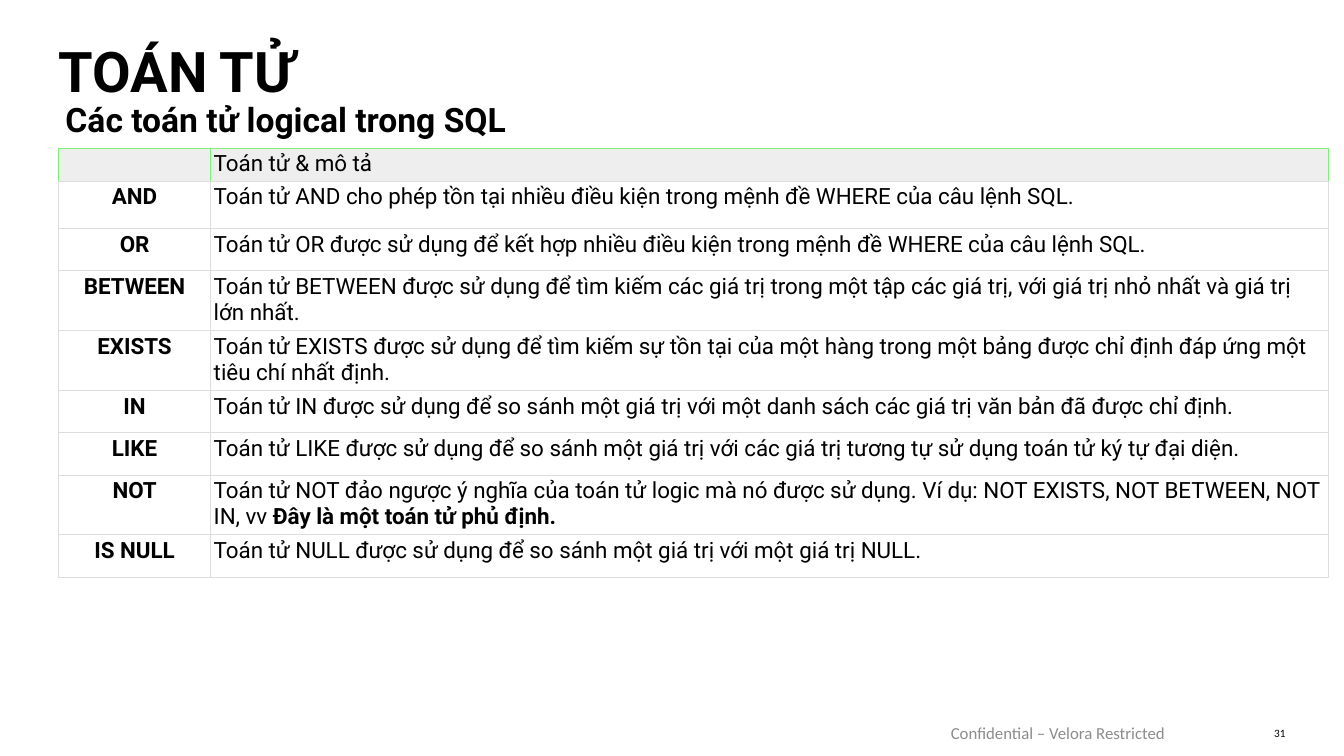
from dataclasses import dataclass

from lxml.etree import SubElement
from pptx import Presentation
from pptx.dml.color import RGBColor
from pptx.enum.text import MSO_ANCHOR as Anchor, PP_ALIGN as Align
from pptx.oxml.ns import qn
from pptx.util import Inches, Pt

BLACK = RGBColor(0x00, 0x00, 0x00)
WHITE = RGBColor(0xFF, 0xFF, 0xFF)
GRAY = RGBColor(0x8C, 0x8C, 0x8C)
PALE = RGBColor(0xEE, 0xEE, 0xEE)
RULE = RGBColor(0xDD, 0xDD, 0xDD)
GREEN = RGBColor(0x80, 0xF0, 0x7B)


@dataclass
class Label:
    text: str
    left: float
    top: float
    width: float
    height: float
    size: int
    font: str = "Roboto"
    color: RGBColor = BLACK
    bold: bool = False
    anchor: Anchor = Anchor.TOP
    align: Align = Align.LEFT
    spacing: float = 1.0
    margin: float = 0
    indent: float = 0


@dataclass
class Operator:
    name: str
    about: str
    height: float = 0.42
    stress: str = ""


LABELS = [
    Label("TOÁN TỬ", 0.58, 0.44, 12.17, 0.58, 40, bold=True,
          anchor=Anchor.BOTTOM, spacing=0.8),
    Label("Các toán tử logical trong SQL", 0.4, 1.03, 12.17, 0.38, 24, bold=True,
          spacing=0.9, margin=0.5, indent=-0.25),
    Label("Confidential – Velora Restricted", 9.43, 7.17, 2.95, 0.2, 12, "Calibri",
          GRAY, anchor=Anchor.MIDDLE),
    Label("31", 12.39, 7.17, 0.36, 0.2, 8, "Calibri",
          anchor=Anchor.MIDDLE, align=Align.RIGHT),
]

OPERATORS = [
    Operator("AND", "Toán tử AND cho phép tồn tại nhiều điều kiện trong mệnh đề WHERE "
             "của câu lệnh SQL.", 0.47),
    Operator("OR", "Toán tử OR được sử dụng để kết hợp nhiều điều kiện trong mệnh đề "
             "WHERE của câu lệnh SQL."),
    Operator("BETWEEN", "Toán tử BETWEEN được sử dụng để tìm kiếm các giá trị trong một "
             "tập các giá trị, với giá trị nhỏ nhất và giá trị lớn nhất."),
    Operator("EXISTS", "Toán tử EXISTS được sử dụng để tìm kiếm sự tồn tại của một hàng "
             "trong một bảng được chỉ định đáp ứng một tiêu chí nhất định."),
    Operator("IN", "Toán tử IN được sử dụng để so sánh một giá trị với một danh sách "
             "các giá trị văn bản đã được chỉ định."),
    Operator("LIKE", "Toán tử LIKE được sử dụng để so sánh một giá trị với các giá trị "
             "tương tự sử dụng toán tử ký tự đại diện."),
    Operator("NOT", "Toán tử NOT đảo ngược ý nghĩa của toán tử logic mà nó được sử dụng. "
             "Ví dụ: NOT EXISTS, NOT BETWEEN, NOT IN, vv ",
             stress="Đây là một toán tử phủ định."),
    Operator("IS NULL", "Toán tử NULL được sử dụng để so sánh một giá trị với một giá trị "
             "NULL."),
]


def add_run(para, text: str, size: int, font: str = "Roboto",
            color: RGBColor = BLACK, bold: bool = False) -> None:
    run = para.add_run()
    run.text = text
    run.font.size = Pt(size)
    run.font.name = font
    run.font.color.rgb = color
    run.font.bold = bold


def add_label(slide, label: Label) -> None:
    box = slide.shapes.add_textbox(Inches(label.left), Inches(label.top),
                                   Inches(label.width), Inches(label.height))
    frame = box.text_frame
    frame.word_wrap = True
    frame.vertical_anchor = label.anchor
    frame.margin_left = frame.margin_right = 0
    frame.margin_top = frame.margin_bottom = 0
    para = frame.paragraphs[0]
    para.alignment = label.align
    para.line_spacing = label.spacing
    if label.margin:
        props = para._p.get_or_add_pPr()
        props.set("marL", str(Inches(label.margin)))
        props.set("indent", str(Inches(label.indent)))
    add_run(para, label.text, label.size, label.font, label.color, label.bold)


def style_cell(cell, fill: RGBColor, edge: RGBColor) -> None:
    """Set margins, borders and fill; the bottom border is always the plain rule."""
    cell.margin_left = cell.margin_right = Inches(0.03)
    cell.margin_top = cell.margin_bottom = Inches(0.03)
    props = cell._tc.get_or_add_tcPr()
    for side, color in zip("LRTB", (edge, edge, edge, RULE)):
        line = SubElement(props, qn(f"a:ln{side}"), w=str(Pt(0.75)))
        solid = SubElement(line, qn("a:solidFill"))
        SubElement(solid, qn("a:srgbClr"), val=str(color))
    cell.fill.solid()
    cell.fill.fore_color.rgb = fill


def add_grid(slide) -> None:
    """Add the table of operators."""
    shape = slide.shapes.add_table(len(OPERATORS) + 1, 2, Inches(0.58), Inches(1.47),
                                   Inches(12.6), Inches(4.25))
    table = shape.table
    table.first_row = table.horz_banding = False
    for column, width in zip(table.columns, (1.51, 11.09)):
        column.width = Inches(width)

    table.rows[0].height = Inches(0.2)
    for cell in table.rows[0].cells:
        style_cell(cell, PALE, GREEN)
    blank, head = (cell.text_frame.paragraphs[0] for cell in table.rows[0].cells)
    blank._p.get_or_add_endParaRPr().set("sz", "1600")
    add_run(head, "Toán tử & mô tả", 16)

    for index, item in enumerate(OPERATORS, start=1):
        row = table.rows[index]
        row.height = Inches(item.height)
        for cell in row.cells:
            style_cell(cell, WHITE, RULE)
        name, about = (cell.text_frame.paragraphs[0] for cell in row.cells)
        name.alignment = Align.CENTER
        add_run(name, item.name, 16, bold=True)
        add_run(about, item.about, 16)
        if item.stress:
            add_run(about, item.stress, 16, bold=True)


def main() -> None:
    deck = Presentation()
    deck.slide_width = Inches(13.33)
    deck.slide_height = Inches(7.5)
    slide = deck.slides.add_slide(deck.slide_layouts[6])
    for label in LABELS:
        add_label(slide, label)
    add_grid(slide)
    deck.save("out.pptx")


if __name__ == "__main__":
    main()
